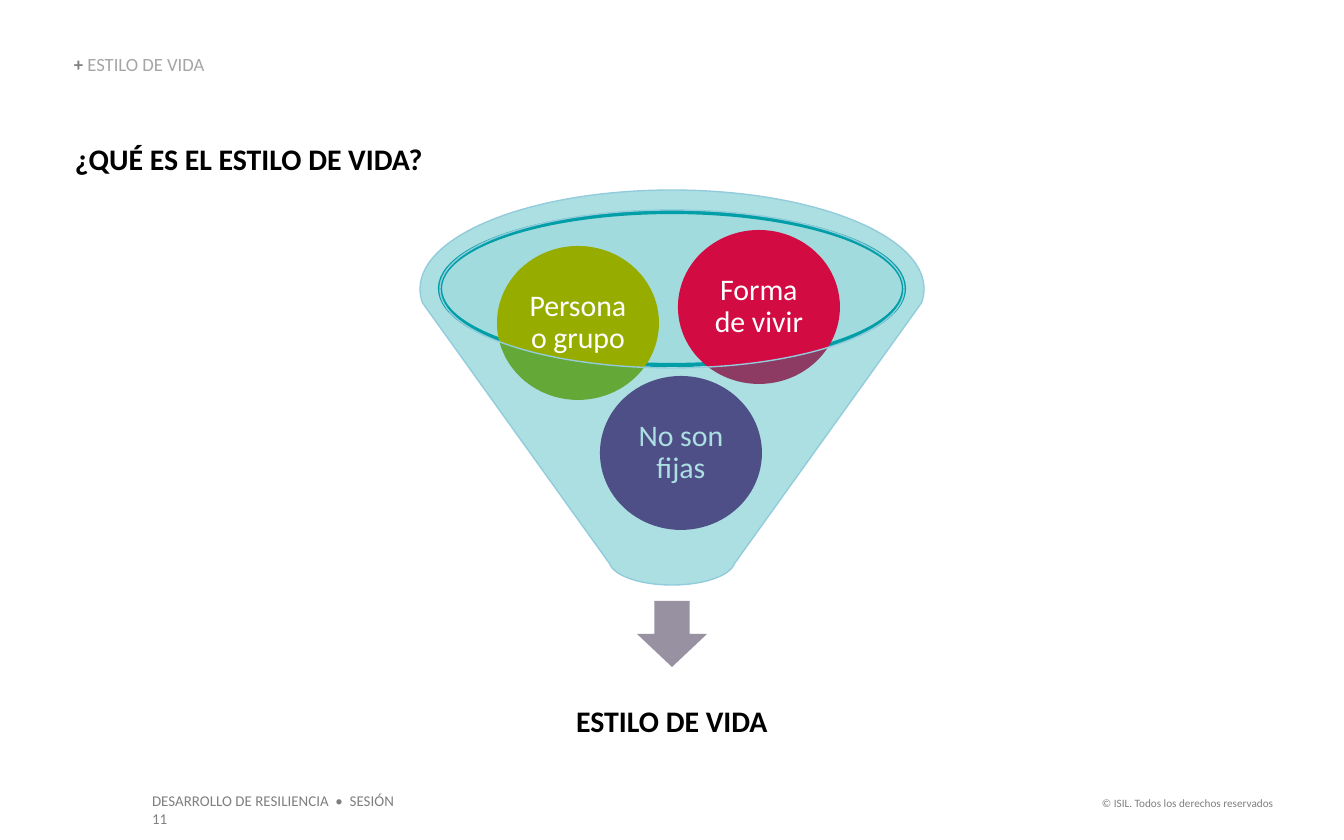
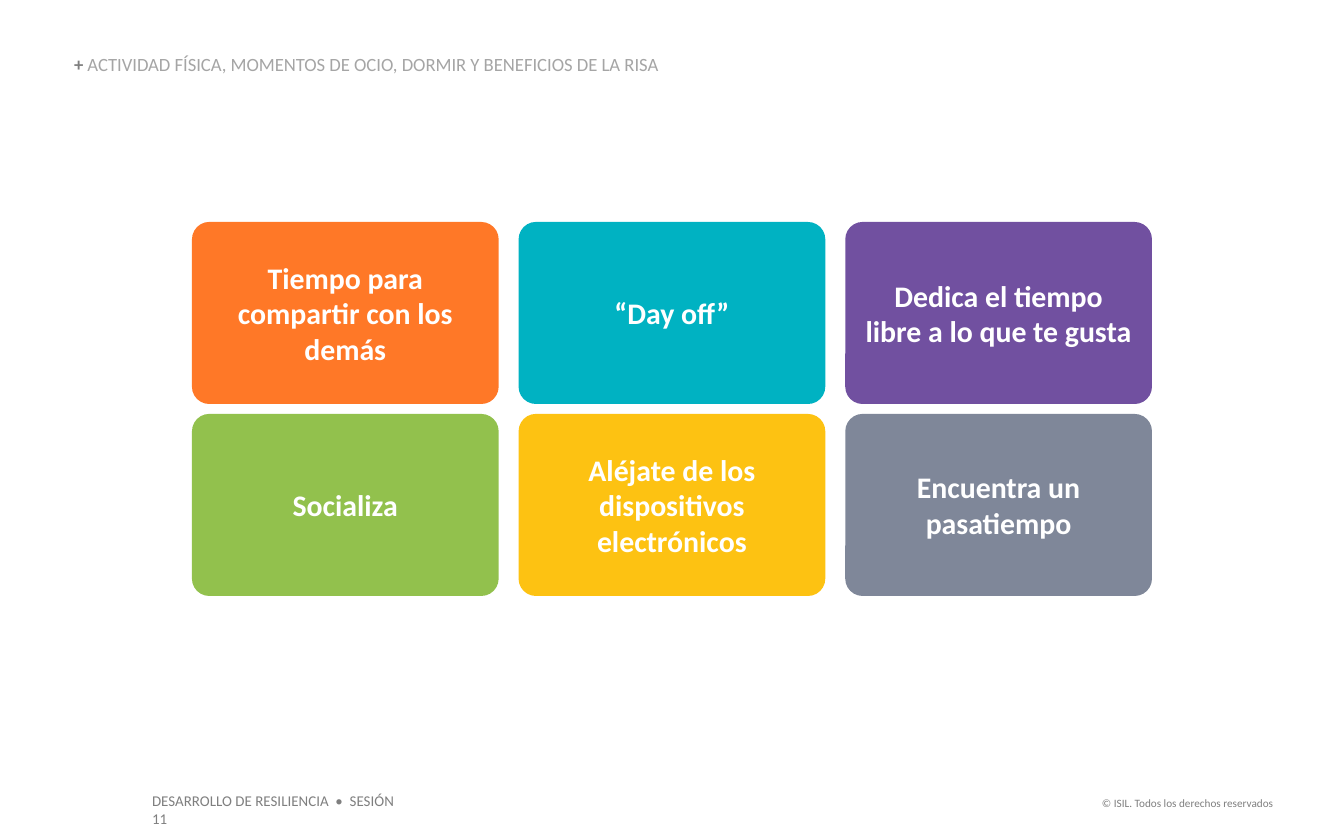
import math

import pptx
import pptx.dml.color
import pptx.enum.shapes
import pptx.enum.text
import pptx.oxml
import pptx.oxml.ns
import pptx.util

PX = 914400 / 134.4
FONT = "Calibri"
BLACK, WHITE = "000000", "FFFFFF"
GREY, LIGHT_GREY = "7F7F7F", "A5A5A5"
TEAL, PALE_BLUE, ARROW_GREY = "009FA7", "92CCDC", "9791A1"

SHAPE = pptx.enum.shapes.MSO_SHAPE
ALIGN = pptx.enum.text.PP_ALIGN
ANCHOR = pptx.enum.text.MSO_ANCHOR


def px(n):
    return pptx.util.Emu(round(n * PX))


def rgb(color):
    return pptx.dml.color.RGBColor.from_string(color)


def paint(sp, fill=None, opacity=100, line=None, width=0.75):
    """Set fill, opacity in percent and outline, without a shadow."""
    sp.shadow.inherit = False
    if fill:
        sp.fill.solid()
        sp.fill.fore_color.rgb = rgb(fill)
        if opacity < 100:
            clr = sp.fill._xPr.find(".//" + pptx.oxml.ns.qn("a:srgbClr"))
            alpha = pptx.oxml.parse_xml(
                f'<a:alpha {pptx.oxml.ns.nsdecls("a")} val="{opacity * 1000}"/>')
            clr.append(alpha)
    else:
        sp.fill.background()
    if line:
        sp.line.color.rgb = rgb(line)
        sp.line.width = pptx.util.Pt(width)
    else:
        sp.line.fill.background()


def write(sp, runs, size, align=ALIGN.LEFT, anchor=ANCHOR.TOP,
          inset=(0, 0), spacing=1.0):
    """Write one paragraph of (text, colour, bold) runs."""
    tf = sp.text_frame
    tf.word_wrap = True
    tf.vertical_anchor = anchor
    tf.margin_left = tf.margin_right = px(inset[0])
    tf.margin_top = tf.margin_bottom = px(inset[1])
    p = tf.paragraphs[0]
    p.alignment = align
    p.line_spacing = spacing
    for text, color, bold in runs:
        r = p.add_run()
        r.text = text
        r.font.name = FONT
        r.font.size = pptx.util.Pt(size)
        r.font.bold = bold
        r.font.color.rgb = rgb(color)


def add_text(s, box, runs, size, **style):
    write(s.shapes.add_textbox(*map(px, box)), runs, size, **style)


def add_shape(s, kind, box, fill=None, **style):
    sp = s.shapes.add_shape(kind, *map(px, box))
    paint(sp, fill, **style)
    return sp


def add_slide(prs, section, section_width):
    """Blank slide with the section header and the footers."""
    s = prs.slides.add_slide(prs.slide_layouts[6])
    add_text(s, (139, 785, 284, 32),
             [("DESARROLLO DE RESILIENCIA  •  SESIÓN 11", GREY, False)], 8,
             inset=(13, 7))
    add_text(s, (1085, 790, 201, 27),
             [("© ISIL. Todos los derechos reservados", GREY, False)], 6,
             align=ALIGN.RIGHT, inset=(13, 7))
    add_text(s, (74, 56, section_width, 20),
             [("+ ", GREY, True), (section, LIGHT_GREY, False)], 10,
             anchor=ANCHOR.BOTTOM, spacing=0.9)
    return s


def arc(cx, cy, rx, ry, *angles):
    """Elliptical arc through the angles, as (control, control, end) triples."""
    def at(angle, pull=0):
        cos, sin = math.cos(angle), math.sin(angle)
        return px(cx + rx * (cos - pull * sin)), px(cy + ry * (sin + pull * cos))

    turns = [math.radians(a) for a in angles]
    triples = [(None, None, at(turns[0]))]
    for a, b in zip(turns, turns[1:]):
        pull = 4 / 3 * math.tan((b - a) / 4)
        triples.append((at(a, pull), at(b, -pull), at(b)))
    return triples


def add_curved(s, contours):
    """Freeform whose line segments are bent where controls are given."""
    fb = s.shapes.build_freeform(*contours[0][0][2], scale=1.0)
    for i, contour in enumerate(contours):
        if i:
            fb.move_to(*contour[0][2])
        fb.add_line_segments([end for _, _, end in contour[1:]])
    sp = fb.convert_to_shape()
    segments = [triple for contour in contours for triple in contour[1:]]
    lines = list(sp._element.iter(pptx.oxml.ns.qn("a:lnTo")))
    for ln, (c1, c2, end) in zip(lines, segments):
        if c1:
            pts = "".join(f'<a:pt x="{x - sp.left}" y="{y - sp.top}"/>'
                          for x, y in (c1, c2, end))
            ln.getparent().replace(ln, pptx.oxml.parse_xml(
                f'<a:cubicBezTo {pptx.oxml.ns.nsdecls("a")}>{pts}</a:cubicBezTo>'))
    return sp


def add_funnel(s, box):
    """Translucent funnel with an oval opening."""
    x, y, w, h = box
    cx, rx, ry = x + w / 2, w / 2, 99
    rim_y = y + ry
    # The spout is the rim at a quarter of its size
    outline = (arc(cx, rim_y, rx, ry, 172, 180, 270, 360, 368)
               + arc(cx, y + h - ry / 4, rx / 4, ry / 4, 8, 90, 172))
    opening = arc(cx, rim_y, rx - 20, ry - 20, 180, 90, 0, -90, -180)
    paint(add_curved(s, [outline, opening]), TEAL, 33, PALE_BLUE)


def add_funnel_diagram(s, box):
    """Ideas falling into a funnel, with the result below it."""
    x, y, w, h = box
    add_shape(s, SHAPE.OVAL, (x + 20, y + 22, w - 40, 153), TEAL,
              opacity=37, line=TEAL, width=2.25)

    # Ideas
    ideas = [("No son fijas", "772978", 180, 186),
             ("Persona o grupo", "96AD00", 77, 56),
             ("Forma de vivir", "D30B43", 258, 40)]
    for text, color, dx, dy in ideas:
        sp = add_shape(s, SHAPE.OVAL, (x + dx, y + dy, 162, 154), color)
        write(sp, [(text, WHITE, False)], 16, ALIGN.CENTER, ANCHOR.MIDDLE,
              inset=(5, 5), spacing=0.9)

    add_funnel(s, (x, y, w, 395))

    # Result
    mid = x + w // 2
    add_shape(s, SHAPE.DOWN_ARROW, (mid - 35, y + 411, 70, 66), ARROW_GREY)
    result = add_shape(s, SHAPE.RECTANGLE, (mid - 228, y + h - 56, 456, 56))
    write(result, [("ESTILO DE VIDA", BLACK, True)], 16, ALIGN.CENTER,
          ANCHOR.MIDDLE, spacing=0.9)


def add_card_grid(s, box, cards, cols=3, gap_x=20, gap_y=10):
    """Rounded cards in equal rows and columns."""
    x, y, w, h = box
    rows = math.ceil(len(cards) / cols)
    card_w = (w - gap_x * (cols - 1)) / cols
    card_h = (h - gap_y * (rows - 1)) / rows
    for i, (text, color) in enumerate(cards):
        row, col = divmod(i, cols)
        sp = add_shape(s, SHAPE.ROUNDED_RECTANGLE,
                       (x + col * (card_w + gap_x), y + row * (card_h + gap_y),
                        card_w, card_h), color)
        sp.adjustments[0] = 0.095
        write(sp, [(text, WHITE, True)], 16, ALIGN.CENTER, ANCHOR.MIDDLE,
              inset=(13, 7))


def build_lifestyle(prs):
    s = add_slide(prs, "ESTILO DE VIDA", 358)
    add_funnel_diagram(s, (420, 190, 504, 561))
    add_text(s, (75, 141, 449, 36),
             [("¿QUÉ ES EL ESTILO DE VIDA?", BLACK, True)], 16)


def build_leisure(prs):
    s = add_slide(prs, "ACTIVIDAD FÍSICA, MOMENTOS DE OCIO, DORMIR "
                       "Y BENEFICIOS DE LA RISA", 800)
    add_card_grid(s, (192, 222, 960, 374), [
        ("Tiempo para compartir con los demás", "FF7827"),
        ("“Day off”", "00B2C2"),
        ("Dedica el tiempo libre a lo que te gusta", "7150A0"),
        ("Socializa", "92C14D"),
        ("Aléjate de los dispositivos electrónicos", "FDC212"),
        ("Encuentra un pasatiempo", "7F8799"),
    ])


def main():
    prs = pptx.Presentation()
    prs.slide_width, prs.slide_height = px(1344), px(840)
    build_lifestyle(prs)
    build_leisure(prs)
    prs.save("out.pptx")


if __name__ == "__main__":
    main()
